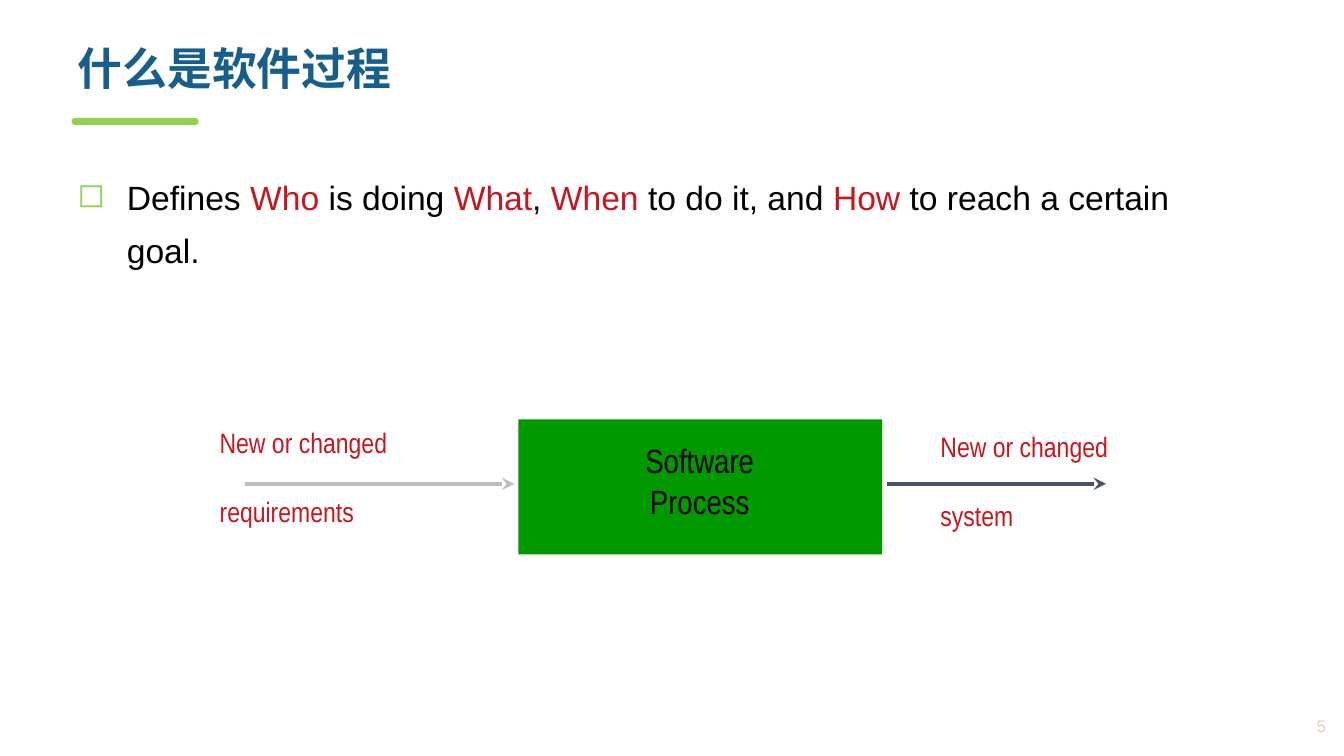
"""Build the slide on what a software process is."""
from lxml import etree
from pptx import Presentation
from pptx.dml.color import RGBColor
from pptx.enum.shapes import MSO_CONNECTOR, MSO_SHAPE
from pptx.enum.text import MSO_ANCHOR, MSO_AUTO_SIZE, PP_ALIGN
from pptx.oxml.ns import qn
from pptx.util import Inches, Pt

LEFT, CENTER, RIGHT = PP_ALIGN.LEFT, PP_ALIGN.CENTER, PP_ALIGN.RIGHT
TOP, MIDDLE = MSO_ANCHOR.TOP, MSO_ANCHOR.MIDDLE
RECT, BAR = MSO_SHAPE.RECTANGLE, MSO_SHAPE.ROUND_2_SAME_RECTANGLE
STRAIGHT, FIXED = MSO_CONNECTOR.STRAIGHT, MSO_AUTO_SIZE.NONE

BLUE = RGBColor(0x17, 0x5F, 0x8B)
LIME = RGBColor(0x92, 0xD0, 0x50)
GREEN = RGBColor(0x00, 0x99, 0x00)
RED = RGBColor(0xC8, 0x16, 0x1E)
BLACK = RGBColor(0, 0, 0)
GRAY = RGBColor(0xBE, 0xBE, 0xBE)
SLATE = RGBColor(0x44, 0x54, 0x6A)
SAND = RGBColor(0xE0, 0xCF, 0xBD)

HEAD = "什么是软件过程"
HEAD_FONT = "Noto Sans CJK SC"
BODY = [
    ("Defines ", BLACK), ("Who ", RED), ("is doing ", BLACK), ("What", RED),
    (", ", BLACK), ("When ", RED), ("to do it, and ", BLACK), ("How", RED),
    (" to reach a certain goal.", BLACK),
]
LABELS = [
    (("New or changed", "requirements"), (2.08, 4.23, 1.88, 1.07), LEFT, 20, RED, 29),
    (("New or changed", "system"), (9.23, 4.27, 1.94, 1.07), LEFT, 20, RED, 29),
    (("Software", "Process"), (6.29, 4.44, 1.3, 0.79), CENTER, 24, BLACK, 9),
]
BLOCKS = [
    (BAR, (0.71, 1.17, 1.26, 0.07), LIME),
    (RECT, (5.14, 4.16, 3.61, 1.34), GREEN),
]
ARROWS = [(2.43, 5.1, GRAY), (8.8, 10.97, SLATE)]
ARROW_Y = 4.8


def place(box):
    return [Inches(n) for n in box]


def style(par, name, size, color=None):
    par.font.name, par.font.size = name, Pt(size)
    if color is not None:
        par.font.color.rgb = color


def add_text(slide, box, anchor=TOP, wrap=True):
    frame = slide.shapes.add_textbox(*place(box)).text_frame
    frame.word_wrap, frame.vertical_anchor = wrap, anchor
    return frame


def add_title(slide):
    title = slide.shapes.title
    title.left, title.top, title.width, title.height = place((0.67, 0.41, 12.19, 0.75))
    frame = title.text_frame
    frame.text = HEAD
    frame.auto_size, frame.vertical_anchor = FIXED, TOP
    par = frame.paragraphs[0]
    par.alignment, par.line_spacing = LEFT, 0.9
    font = par.runs[0].font
    font.size, font.bold, font.name = Pt(32), True, HEAD_FONT
    font.color.rgb = BLUE
    etree.SubElement(font._element, qn("a:ea"), typeface=HEAD_FONT)


def add_body(slide):
    par = add_text(slide, (0.67, 1.59, 11.83, 1.61)).paragraphs[0]
    par.line_spacing, par.space_after = 1.3, Pt(3)
    props = par._p.get_or_add_pPr()
    indent = Inches(0.49)
    props.set("marL", str(indent))
    props.set("indent", str(-indent))
    tint = etree.SubElement(props, qn("a:buClr"))
    etree.SubElement(tint, qn("a:srgbClr"), val=str(LIME))
    etree.SubElement(props, qn("a:buChar"), char="◻")
    style(par, "Arial", 24)
    for words, color in BODY:
        run = par.add_run()
        run.text = words
        run.font.color.rgb = color


def add_label(slide, lines, box, align, size, color, gap):
    frame = add_text(slide, box, wrap=False)
    frame.text = "\n".join(lines)
    for i, par in enumerate(frame.paragraphs):
        par.alignment, par.line_spacing = align, Pt(20)
        if i:
            par.space_before = Pt(gap)
        style(par, "Arial Narrow", size, color)


def add_block(slide, kind, box, color):
    shape = slide.shapes.add_shape(kind, *place(box))
    shape.shadow.inherit = False
    shape.fill.solid()
    shape.fill.fore_color.rgb = color
    shape.line.fill.background()
    for i in range(len(shape.adjustments)):
        shape.adjustments[i] = 0.5


def add_arrow(slide, start, end, color):
    arrow = slide.shapes.add_connector(
        STRAIGHT, *place((start, ARROW_Y, end, ARROW_Y)))
    arrow.line.color.rgb, arrow.line.width = color, Pt(3)
    etree.SubElement(arrow.line._get_or_add_ln(), qn("a:tailEnd"), type="stealth")
    etree.SubElement(arrow._element.spPr, qn("a:effectLst"))


def main():
    deck = Presentation()
    deck.slide_width, deck.slide_height = Inches(13.33), Inches(7.5)
    slide = deck.slides.add_slide(deck.slide_layouts[5])
    add_title(slide)
    add_body(slide)
    for block in BLOCKS:
        add_block(slide, *block)
    for label in LABELS:
        add_label(slide, *label)
    for arrow in ARROWS:
        add_arrow(slide, *arrow)
    frame = add_text(slide, (12.12, 7.01, 1.13, 0.38), MIDDLE)
    frame.text = "5"
    page = frame.paragraphs[0]
    page.alignment = RIGHT
    style(page, "Arial", 12, SAND)
    deck.save("out.pptx")


if __name__ == "__main__":
    main()
